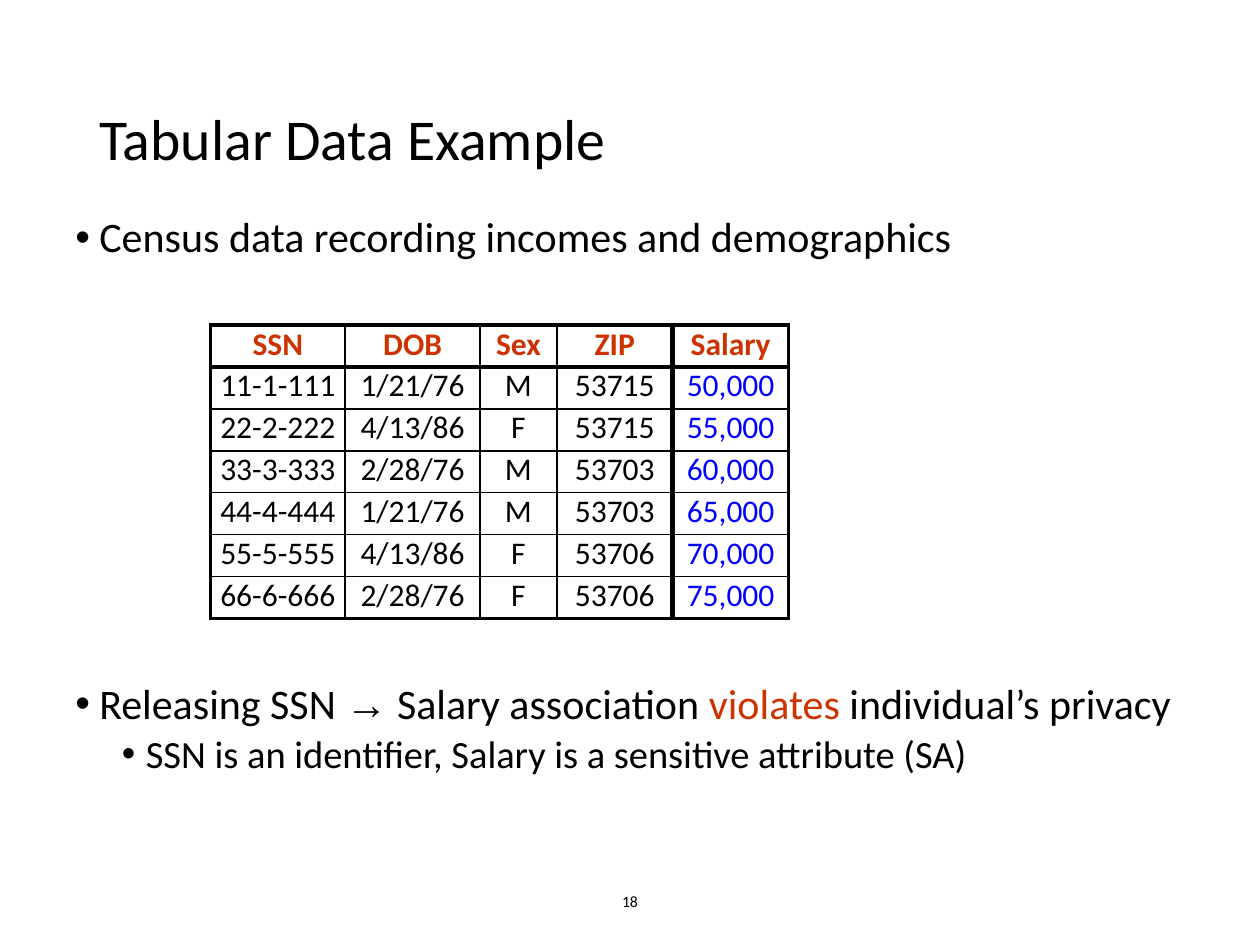
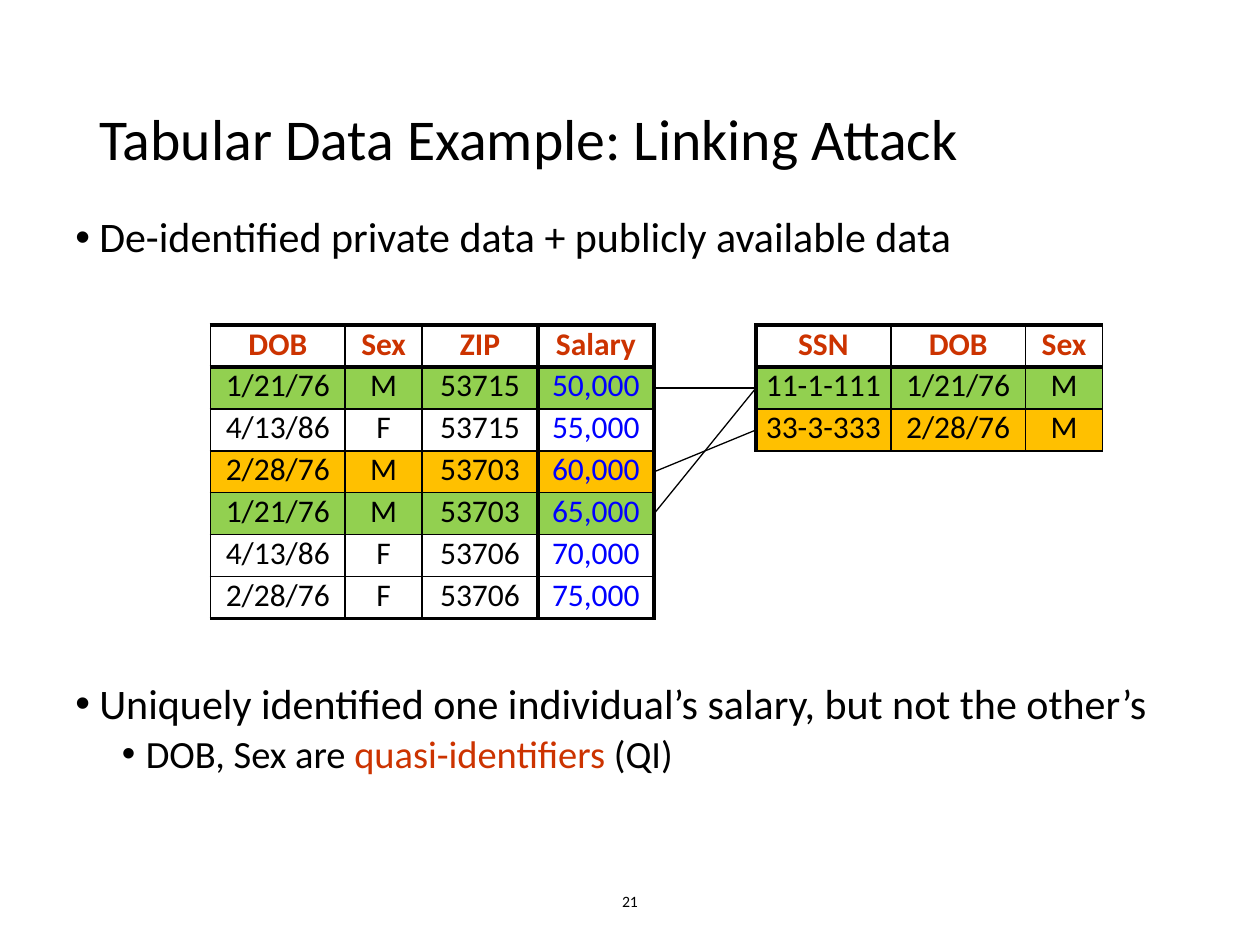
from lxml import etree
from pptx import Presentation
from pptx.dml.color import RGBColor
from pptx.enum.shapes import MSO_CONNECTOR
from pptx.enum.text import MSO_ANCHOR, PP_ALIGN
from pptx.oxml import parse_xml
from pptx.oxml.ns import nsdecls, qn
from pptx.util import Inches, Pt

STRAIGHT = MSO_CONNECTOR.STRAIGHT
MIDDLE, CENTER = MSO_ANCHOR.MIDDLE, PP_ALIGN.CENTER
rgb = RGBColor.from_string

BLACK, RED, BLUE = "000000", "CC3300", "0000FF"
GREEN, ORANGE = "92D050", "FFC000"
TABLE_LEFT, TABLE_TOP, ROW_H = 1.67, 2.58, 0.333
PUBLIC_LEFT = 6
COL_W = {"SSN": 1.07, "DOB": 1.07, "Sex": 0.61, "ZIP": 0.92, "Salary": 0.92}

FIELDS = list(COL_W)
CENSUS = [dict(zip(FIELDS, row)) for row in [
    ("11-1-111", "1/21/76", "M", "53715", "50,000"),
    ("22-2-222", "4/13/86", "F", "53715", "55,000"),
    ("33-3-333", "2/28/76", "M", "53703", "60,000"),
    ("44-4-444", "1/21/76", "M", "53703", "65,000"),
    ("55-5-555", "4/13/86", "F", "53706", "70,000"),
    ("66-6-666", "2/28/76", "F", "53706", "75,000"),
]]
MATCHES = {("1/21/76", "M"): GREEN, ("2/28/76", "M"): ORANGE}

# Each slide: number, title, tables (left, fields, records, row fills),
# links (private row, public row), bullets (level, space before, runs)
SLIDES = [
    dict(number="18", title="Tabular Data Example",
         tables=[(TABLE_LEFT, FIELDS, CENSUS, {})],
         links=[],
         bullets=[
             (0, 0, [("Census data recording incomes and demographics", {})]),
             (0, 240.5, [("Releasing SSN ", {}), ("→", {"font": "Arial"}),
                         (" Salary association ", {}),
                         ("violates", {"color": RED}),
                         (" individual’s privacy", {})]),
             (1, 3.8, [("SSN is an identifier, Salary is a sensitive "
                        "attribute (SA)", {})]),
         ]),
    dict(number="21", title="Tabular Data Example: Linking Attack",
         tables=[(TABLE_LEFT, FIELDS[1:], CENSUS, MATCHES),
                 (PUBLIC_LEFT, FIELDS[:3], [CENSUS[0], CENSUS[2]], MATCHES)],
         links=[(1, 1), (4, 1), (3, 2)],
         bullets=[
             (0, 0, [("De-identified private data + publicly available data",
                      {})]),
             (0, 240.5, [("Uniquely identified one individual’s salary, "
                          "but not the other’s", {})]),
             (1, 3.8, [("DOB, Sex are ", {}),
                       ("quasi-identifiers ", {"color": RED}),
                       ("(QI)", {})]),
         ]),
]


def add_run(p, text, size, color=BLACK, bold=False, font="Calibri"):
    r = p.add_run()
    r.text = text
    r.font.name, r.font.size, r.font.bold = font, Pt(size), bold
    r.font.color.rgb = rgb(color)


def add_records(s, left, fields, records, fills):
    """Add a table of records; rows are filled by their (DOB, Sex) pair."""
    width = sum(COL_W[f] for f in fields)
    rows = len(records) + 1
    table = s.shapes.add_table(rows, len(fields), Inches(left),
                               Inches(TABLE_TOP), Inches(width),
                               Inches(ROW_H * rows)).table
    table.first_row = table.horz_banding = False
    left_edge = {"SSN": 2.25, "Salary": 3}
    bottom_edge = 2.25 if "Salary" in fields else 1
    for i in range(rows):
        table.rows[i].height = Inches(ROW_H)
        record = records[i - 1] if i else {}
        fill = fills.get((record.get("DOB"), record.get("Sex")))
        for j, field in enumerate(fields):
            table.columns[j].width = Inches(COL_W[field])
            cell = table.cell(i, j)
            cell.margin_left = cell.margin_right = Inches(0.05)
            cell.margin_top = cell.margin_bottom = 0
            p = cell.text_frame.paragraphs[0]
            p.alignment = CENTER
            if i == 0:
                add_run(p, field, 18, RED, bold=True)
            else:
                add_run(p, record[field], 18,
                        BLUE if field == "Salary" else BLACK)
            following = fields[j + 1] if j + 1 < len(fields) else None
            borders = {
                "L": left_edge.get(field, 1),
                "R": 2.25 if field == "Salary" else left_edge.get(following, 1),
                "T": {0: 2.25, 1: 3}.get(i, 1),
                "B": 3 if i == 0 else bottom_edge if i == rows - 1 else 1,
            }
            tcPr = cell._tc.get_or_add_tcPr()
            for side, points in borders.items():
                tcPr.append(parse_xml(
                    f'<a:ln{side} {nsdecls("a")} w="{Pt(points)}"><a:solidFill>'
                    f'<a:srgbClr val="{BLACK}"/></a:solidFill></a:ln{side}>'))
            if fill:
                cell.fill.solid()
                cell.fill.fore_color.rgb = rgb(fill)
            else:
                cell.fill.background()


prs = Presentation()
prs.slide_width, prs.slide_height = Inches(10), Inches(7.5)

for data in SLIDES:
    s = prs.slides.add_slide(prs.slide_layouts[6])

    # Slide number and title
    for box, text, size, align, spacing in [
        ((3.31, 6.95, 3.38, 0.4), data["number"], 9, CENTER, 1.0),
        ((0.69, 0.4, 8.62, 1.45), data["title"], 33, PP_ALIGN.LEFT, 0.9),
    ]:
        tf = s.shapes.add_textbox(*map(Inches, box)).text_frame
        tf.word_wrap, tf.vertical_anchor = True, MIDDLE
        p = tf.paragraphs[0]
        p.alignment, p.line_spacing = align, spacing
        add_run(p, text, size)

    # Bullets above and below the tables
    tf = s.shapes.add_textbox(*map(Inches, (0.5, 1.67, 9.5, 5.42))).text_frame
    tf.word_wrap = True
    for i, (level, before, runs) in enumerate(data["bullets"]):
        p = tf.add_paragraph() if i else tf.paragraphs[0]
        p.level = level
        pPr = p._p.get_or_add_pPr()
        pPr.set("marL", str(Inches((0.19, 0.56)[level])))
        pPr.set("indent", str(Inches(-0.19)))
        etree.SubElement(pPr, qn("a:buFont")).set("typeface", "Arial")
        etree.SubElement(pPr, qn("a:buChar")).set("char", "•")
        p.line_spacing, p.space_before = 0.9, Pt(before)
        for text, style in runs:
            add_run(p, text, (24, 22)[level], **style)

    for table in data["tables"]:
        add_records(s, *table)

    # Lines from private rows to the public rows they match
    private_right = TABLE_LEFT + sum(COL_W[f] for f in FIELDS[1:])
    for private, public in data["links"]:
        y1, y2 = (TABLE_TOP + ROW_H * (row + 0.5) for row in (private, public))
        line = s.shapes.add_connector(STRAIGHT, Inches(private_right),
                                      Inches(y1), Inches(PUBLIC_LEFT),
                                      Inches(y2))
        line.line.color.rgb, line.line.width = rgb(BLACK), Pt(0.75)
        etree.SubElement(line._element.spPr, qn("a:effectLst"))

prs.save("out.pptx")
